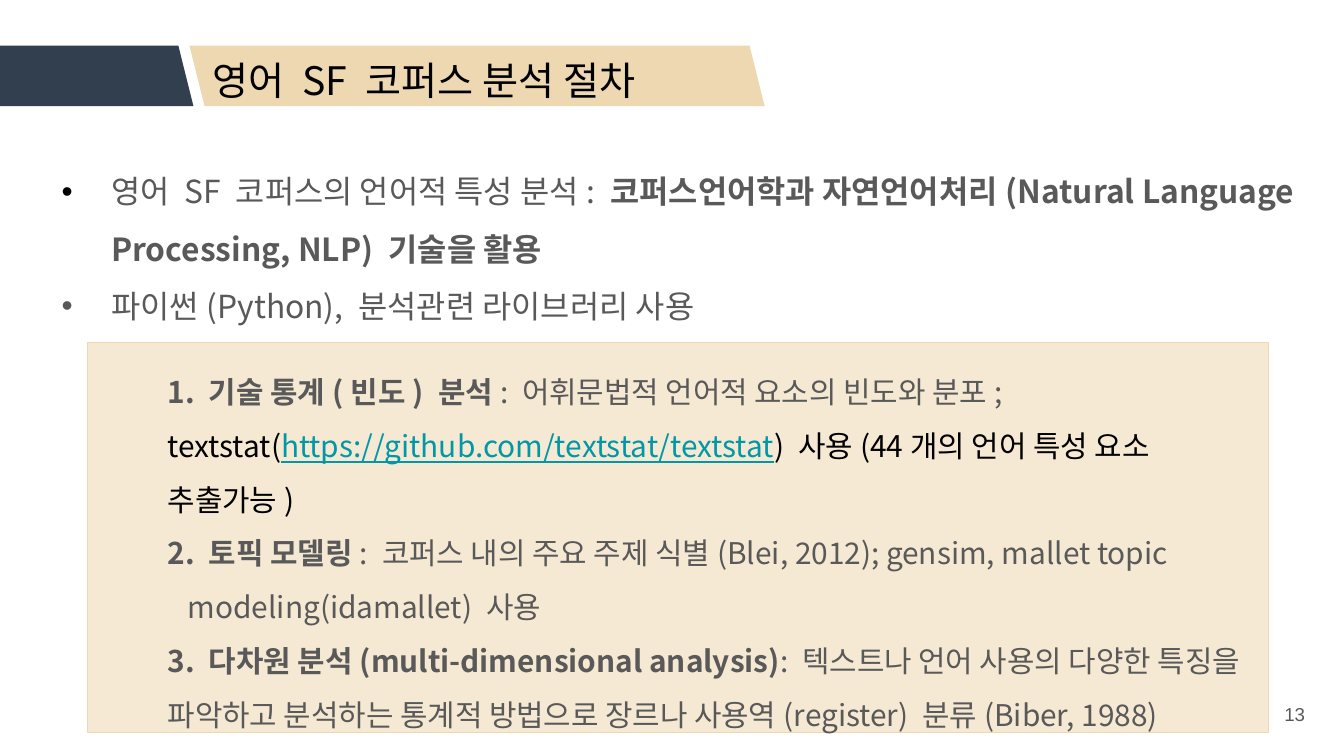
from lxml import etree
from pptx import Presentation
from pptx.dml.color import RGBColor
from pptx.enum.shapes import MSO_SHAPE as SHAPE
from pptx.enum.text import MSO_ANCHOR as ANCHOR, MSO_AUTO_SIZE as AUTO, PP_ALIGN as ALIGN
from pptx.oxml.ns import qn
from pptx.util import Inches, Pt

NAVY = RGBColor(0x32, 0x3F, 0x4F)
SAND = RGBColor(0xED, 0xD8, 0xB1)
CREAM = RGBColor(0xF5, 0xE9, 0xD3)
GRAY = RGBColor(0x59, 0x59, 0x59)
BLACK = RGBColor(0, 0, 0)
TEAL = RGBColor(0x00, 0x97, 0xA7)
KOREAN = "Noto Sans CJK KR"

INTRO = [
    [("영어 SF 코퍼스의 언어적 특성 분석: ", False, GRAY),
     ("코퍼스언어학과 자연언어처리(Natural Language Processing, NLP) 기술을 활용", True, GRAY)],
    [("파이썬(Python), 분석관련 라이브러리 사용", False, GRAY)],
]
STEPS = [
    (0.5, [("1. 기술 통계(빈도) 분석", True, GRAY),
           (": 어휘문법적 언어적 요소의 빈도와 분포; ", False, GRAY),
           ("textstat(", False, BLACK),
           ("https://github.com/textstat/textstat", False, TEAL),
           (") 사용(44개의 언어 특성 요소 추출가능)", False, BLACK)]),
    (0.5, [("2. 토픽 모델링", True, GRAY),
           (": 코퍼스 내의 주요 주제 식별(Blei, 2012); gensim, mallet topic", False, GRAY)]),
    (0.65, [("modeling(idamallet) 사용", False, GRAY)]),
    (0.5, [("3. 다차원 분석(multi-dimensional analysis)", True, GRAY),
           (": 텍스트나 언어 사용의 다양한 특징을 파악하고 분석하는 통계적 방법으로 "
            "장르나 사용역(register) 분류(Biber, 1988)", False, GRAY)]),
]


def add_run(p, text, size, color, bold=False, font=KOREAN):
    r = p.add_run()
    r.text = text
    r.font.size = Pt(size)
    r.font.bold = bold
    r.font.underline = color == TEAL
    r.font.color.rgb = color
    r.font.name = font
    rPr = r._r.get_or_add_rPr()
    rPr.set("kern", "0")
    etree.SubElement(rPr, qn("a:ea"), typeface=font)


def set_frame(tf, side, top, anchor=ANCHOR.TOP):
    tf.word_wrap = True
    tf.auto_size = AUTO.NONE
    tf.vertical_anchor = anchor
    tf.margin_left = tf.margin_right = Inches(side)
    tf.margin_top = tf.margin_bottom = Inches(top)


def next_paragraph(tf, first):
    p = tf.paragraphs[0] if first else tf.add_paragraph()
    p.alignment = ALIGN.LEFT
    p.line_spacing = 1.5
    p.space_before = Pt(0)
    return p


def set_indent(p, left, hanging=0):
    pPr = p._p.get_or_add_pPr()
    pPr.set("marL", str(Inches(left)))
    pPr.set("indent", str(-Inches(hanging)))
    return pPr


def add_bullet(pPr, color):
    clr = etree.SubElement(pPr, qn("a:buClr"))
    etree.SubElement(clr, qn("a:srgbClr"), val=str(color))
    etree.SubElement(pPr, qn("a:buFont"), typeface="Arial")
    etree.SubElement(pPr, qn("a:buChar"), char="•")


def add_panel(slide, kind, x, y, w, h, fill):
    sp = slide.shapes.add_shape(kind, Inches(x), Inches(y), Inches(w), Inches(h))
    sp.shadow.inherit = False
    sp.fill.solid()
    sp.fill.fore_color.rgb = fill
    sp.line.fill.background()
    return sp


def add_header(slide, x, y, h):
    for left, width, fill in ((x, 1.61, NAVY), (x + 1.58, 4.28, SAND)):
        sp = add_panel(slide, SHAPE.PARALLELOGRAM, left, y, width, h, fill)
        sp.adjustments[0] = 0.25
        sp._element.spPr.find(qn("a:xfrm")).set("flipH", "1")
    title = slide.shapes.title
    title.left, title.top = Inches(x + 1.68), Inches(y + 0.04)
    title.width, title.height = Inches(5.07), Inches(0.43)
    slide.shapes._spTree.append(title._element)
    set_frame(title.text_frame, 0.07, 0.04)
    p = title.text_frame.paragraphs[0]
    p.alignment = ALIGN.LEFT
    add_run(p, "영어 SF 코퍼스 분석 절차", 21, BLACK)


def add_intro(slide, x, y, w, h):
    tf = slide.shapes.add_textbox(Inches(x), Inches(y), Inches(w), Inches(h)).text_frame
    set_frame(tf, 0.1, 0.1)
    for i, (runs, color) in enumerate(zip(INTRO, (BLACK, GRAY))):
        p = next_paragraph(tf, i == 0)
        add_bullet(set_indent(p, 0.5, 0.37), color)
        for text, bold, ink in runs:
            add_run(p, text, 17, ink, bold)


def add_steps(slide, x, y, w, h):
    sp = add_panel(slide, SHAPE.RECTANGLE, x, y, w, h, CREAM)
    sp.line.color.rgb = SAND
    sp.line.width = Pt(0.75)
    tf = sp.text_frame
    set_frame(tf, 0.1, 0.1)
    for i, (left, runs) in enumerate(STEPS):
        p = next_paragraph(tf, i == 0)
        set_indent(p, left)
        for text, bold, ink in runs:
            add_run(p, text, 16, ink, bold)


def add_page_number(slide, x, y, w, h):
    tf = slide.shapes.add_textbox(Inches(x), Inches(y), Inches(w), Inches(h)).text_frame
    set_frame(tf, 0.07, 0.04, ANCHOR.MIDDLE)
    p = tf.paragraphs[0]
    p.alignment = ALIGN.RIGHT
    add_run(p, "13", 10, GRAY, font="Arial")


def main():
    prs = Presentation()
    prs.slide_width = Inches(10)
    prs.slide_height = prs.slide_width * 9 // 16
    slide = prs.slides.add_slide(prs.slide_layouts[5])
    add_header(slide, -0.17, 0.34, 0.45)
    add_page_number(slide, 9.33, 5.15, 0.45, 0.32)
    add_intro(slide, 0.23, 1.04, 9.83, 1.5)
    add_steps(slide, 0.65, 2.55, 8.79, 2.9)
    prs.save("out.pptx")


if __name__ == "__main__":
    main()
